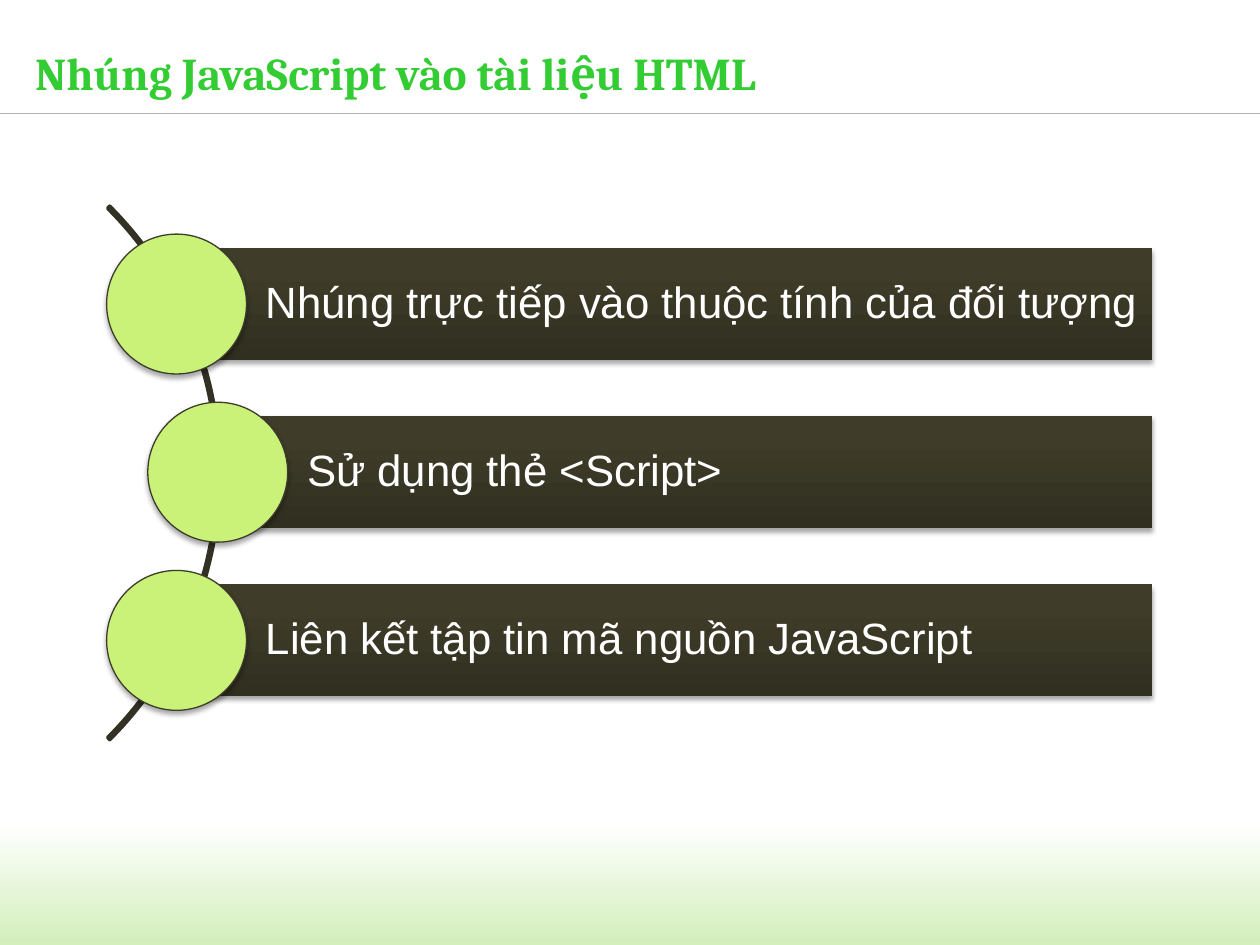
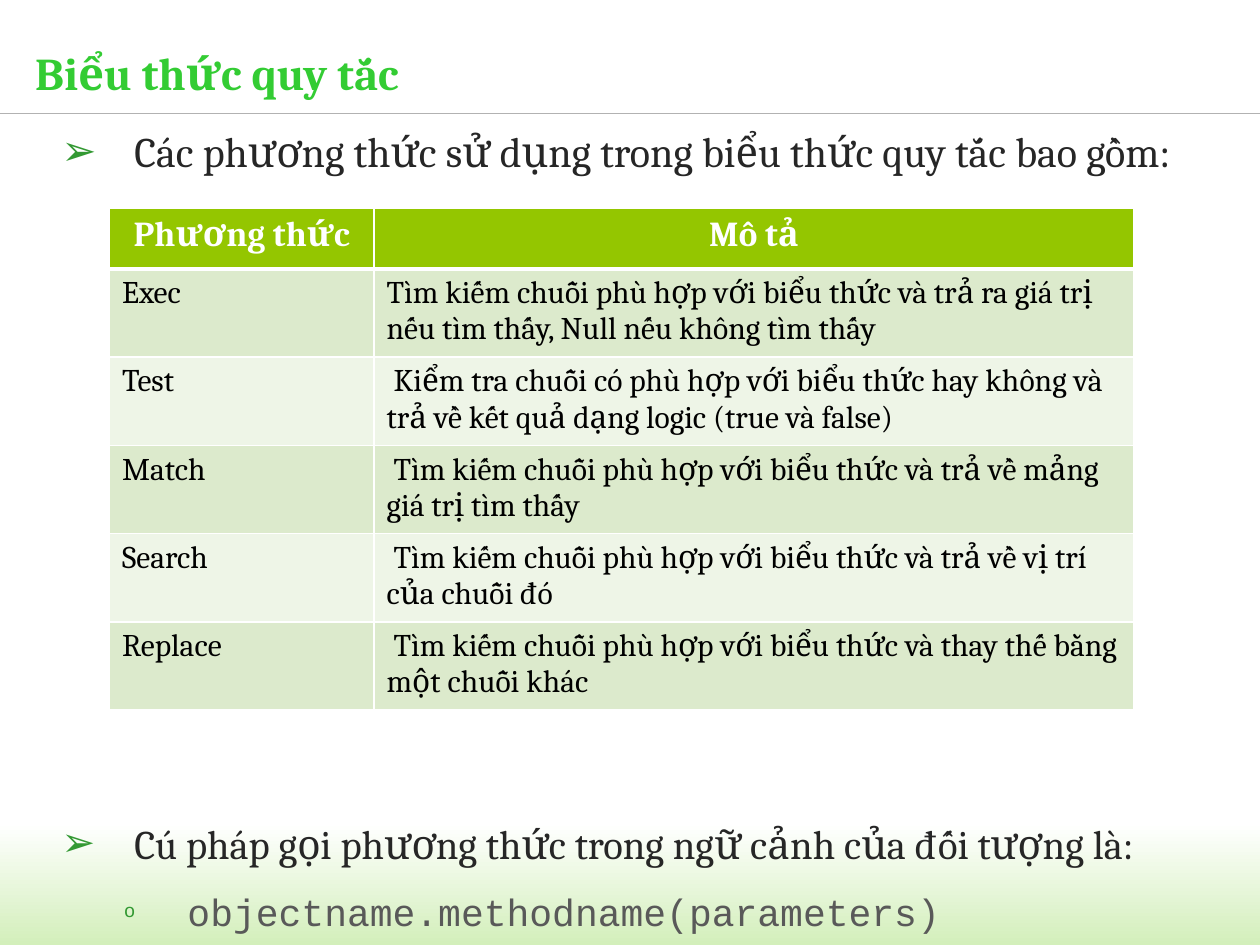
from pptx import Presentation
from pptx.dml import color
from pptx.enum import shapes, text
from pptx.oxml import parse_xml
from pptx.oxml import ns
from pptx.util import Cm, Pt


def rgb(code):
    return color.RGBColor.from_string(code)


def style(par, size, face, code, bold=False):
    for run in par.runs:
        run.font.size = Pt(size)
        run.font.name = face
        run.font.bold = bold
        run.font.color.rgb = rgb(code)


SERIF = "Cambria"
WHITE = "FFFFFF"
GREEN = "33CC33"
RULE = "B2B2B2"
DARK = "323124"
NS = ns.nsdecls("a")
SHADE = (f'<a:effectLst {NS}><a:outerShdw blurRad="39370" dist="22860" dir="5400000" '
         'rotWithShape="0"><a:srgbClr val="000000"><a:alpha val="35000"/></a:srgbClr>'
         '</a:outerShdw></a:effectLst>')

deck = Presentation()
deck.slide_width, deck.slide_height = Cm(25.4), Cm(19.05)

pages = []
for title in ["Nhúng JavaScript vào tài liệu HTML", "Biểu thức quy tắc"]:
    page = deck.slides.add_slide(deck.slide_layouts[6])
    pages.append(page)

    band = page.shapes.add_shape(shapes.MSO_SHAPE.RECTANGLE, 0, Cm(16.59), Cm(25.4), Cm(2.46))
    band.shadow.inherit = False
    band.line.fill.background()
    band.fill.gradient()
    band.fill.gradient_angle = 270
    for stop, code in zip(band.fill.gradient_stops, [WHITE, "D3EFBB"]):
        stop.color.rgb = rgb(code)

    rule = page.shapes.add_connector(shapes.MSO_CONNECTOR.STRAIGHT, 0, Cm(2.29), Cm(25.4), Cm(2.29))
    rule.line.color.rgb = rgb(RULE)
    rule.line.width = Pt(0.75)
    rule._element.spPr.append(parse_xml(f"<a:effectLst {NS}/>"))

    head = page.shapes.add_textbox(Cm(0.71), Cm(0.64), Cm(23.8), Cm(1.63)).text_frame
    head.margin_left = head.margin_top = head.margin_right = head.margin_bottom = 0
    head.word_wrap = True
    head.vertical_anchor = text.MSO_ANCHOR.MIDDLE
    head.text = title
    style(head.paragraphs[0], 26, SERIF, GREEN, True)

first, second = pages

arc = first.shapes.add_shape(shapes.MSO_SHAPE.BLOCK_ARC, Cm(-10.77), Cm(1.93), Cm(15.21), Cm(15.21))
arc.shadow.inherit = False
for i, value in enumerate([189, 27, 0.004]):
    arc.adjustments[i] = value
arc.fill.solid()
arc.fill.fore_color.rgb = rgb(DARK)
arc.line.color.rgb = rgb(DARK)
arc.line.width = Pt(2)

ways = [
    (3.56, "Nhúng trực tiếp vào thuộc tính của đối tượng"),
    (4.39, "Sử dụng thẻ <Script>"),
    (3.56, "Liên kết tập tin mã nguồn JavaScript"),
]
for i, (left, label) in enumerate(ways):
    top = 5 + 3.39 * i
    bar = first.shapes.add_shape(
        shapes.MSO_SHAPE.RECTANGLE, Cm(left), Cm(top), Cm(23.22 - left), Cm(2.26))
    bar.line.fill.background()
    bar.fill.gradient()
    bar.fill.gradient_angle = 90
    for stop, code, place in zip(bar.fill.gradient_stops, ["302F20", "3F3D29"], [0, 0.8]):
        stop.color.rgb = rgb(code)
        stop.position = place
    frame = bar.text_frame
    frame.word_wrap = True
    frame.vertical_anchor = text.MSO_ANCHOR.MIDDLE
    frame.margin_left, frame.margin_right = Cm(1.8), Cm(0.1)
    frame.text = label
    line = frame.paragraphs[0]
    line.alignment = text.PP_ALIGN.LEFT
    line.line_spacing = 0.9
    style(line, 25, "Arial", WHITE)

    disc = first.shapes.add_shape(
        shapes.MSO_SHAPE.OVAL, Cm(left - 1.41), Cm(top - 0.28), Cm(2.82), Cm(2.82))
    disc.fill.solid()
    disc.fill.fore_color.rgb = rgb("CAF278")
    disc.line.color.rgb = rgb("3E3D2D")
    disc.line.width = Pt(0.75)
    for shape in (bar, disc):
        shape._element.spPr.append(parse_xml(SHADE))

body = second.shapes.add_textbox(Cm(1.24), Cm(2.54), Cm(22.94), Cm(15.62)).text_frame
body.margin_left = body.margin_top = body.margin_right = body.margin_bottom = 0
body.word_wrap = True
points = [
    ("Các phương thức sử dụng trong biểu thức quy tắc bao gồm:",
     24, SERIF, "262626", 0, 1.47, 1.47, "➢", 100),
    ("Cú pháp gọi phương thức trong ngữ cảnh của đối tượng là:",
     23.2, SERIF, "262626", 367, 1.47, 1.47, "➢", 100),
    ("objectname.methodname(parameters)",
     21.7, "Courier New", "595959", 12, 2.54, 1.27, "o", 50),
]
body.text = "\n".join(point[0] for point in points)
for par, (_, size, face, code, gap, left, hang, mark, scale) in zip(body.paragraphs, points):
    par.space_before = Pt(gap)
    style(par, size, face, code)
    props = par._p.get_or_add_pPr()
    props.set("marL", str(Cm(left)))
    props.set("indent", str(-Cm(hang)))
    for item in ['<a:buClr {}><a:srgbClr val="339933"/></a:buClr>',
                 f'<a:buSzPct {{}} val="{scale * 1000}"/>',
                 '<a:buFont {} typeface="Arial"/>',
                 f'<a:buChar {{}} char="{mark}"/>']:
        props.append(parse_xml(item.format(NS)))

rows = [
    ("Phương thức", "Mô tả"),
    ("Exec", "Tìm kiếm chuỗi phù hợp với biểu thức và trả ra giá trị nếu tìm thấy, Null nếu không tìm thấy"),
    ("Test", " Kiểm tra chuỗi có phù hợp với biểu thức hay không và trả về kết quả dạng logic (true và false)"),
    ("Match", " Tìm kiếm chuỗi phù hợp với biểu thức và trả về mảng giá trị tìm thấy"),
    ("Search", " Tìm kiếm chuỗi phù hợp với biểu thức và trả về vị trí của chuỗi đó"),
    ("Replace", " Tìm kiếm chuỗi phù hợp với biểu thức và thay thế bằng một chuỗi khác"),
]
grid = second.shapes.add_table(len(rows), 2, Cm(2.21), Cm(4.2), Cm(20.65), Cm(9.82)).table
grid.columns[0].width, grid.columns[1].width = Cm(5.33), Cm(15.32)
for r, row in enumerate(rows):
    grid.rows[r].height = Cm(1.72 if r else 1.22)
    for c, words in enumerate(row):
        cell = grid.cell(r, c)
        cell.text = words
        par = cell.text_frame.paragraphs[0]
        if r == 0:
            par.alignment = text.PP_ALIGN.CENTER
            style(par, 20, SERIF, WHITE, True)
        else:
            style(par, 18, SERIF, "000000")
        props = cell._tc.get_or_add_tcPr()
        for side in "LRTB":
            thick = 3 if (r, side) in [(0, "B"), (1, "T")] else 1
            props.append(parse_xml(
                f'<a:ln{side} {NS} w="{Pt(thick)}"><a:solidFill><a:srgbClr val="{WHITE}"/>'
                f'</a:solidFill></a:ln{side}>'))
        cell.fill.solid()
        cell.fill.fore_color.rgb = rgb("94C600" if r == 0 else "DCEACC" if r % 2 else "EEF5E7")

deck.save("out.pptx")
